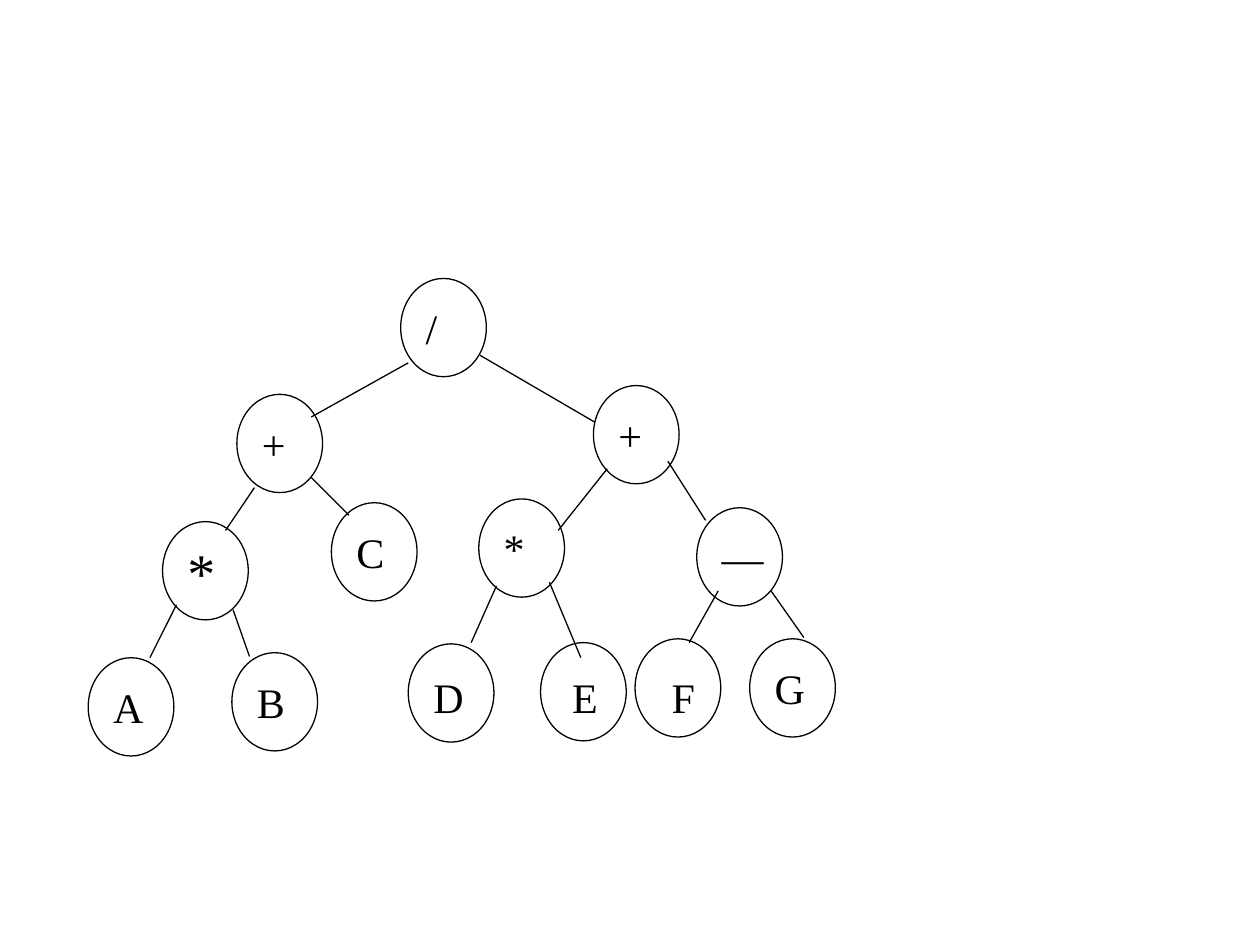
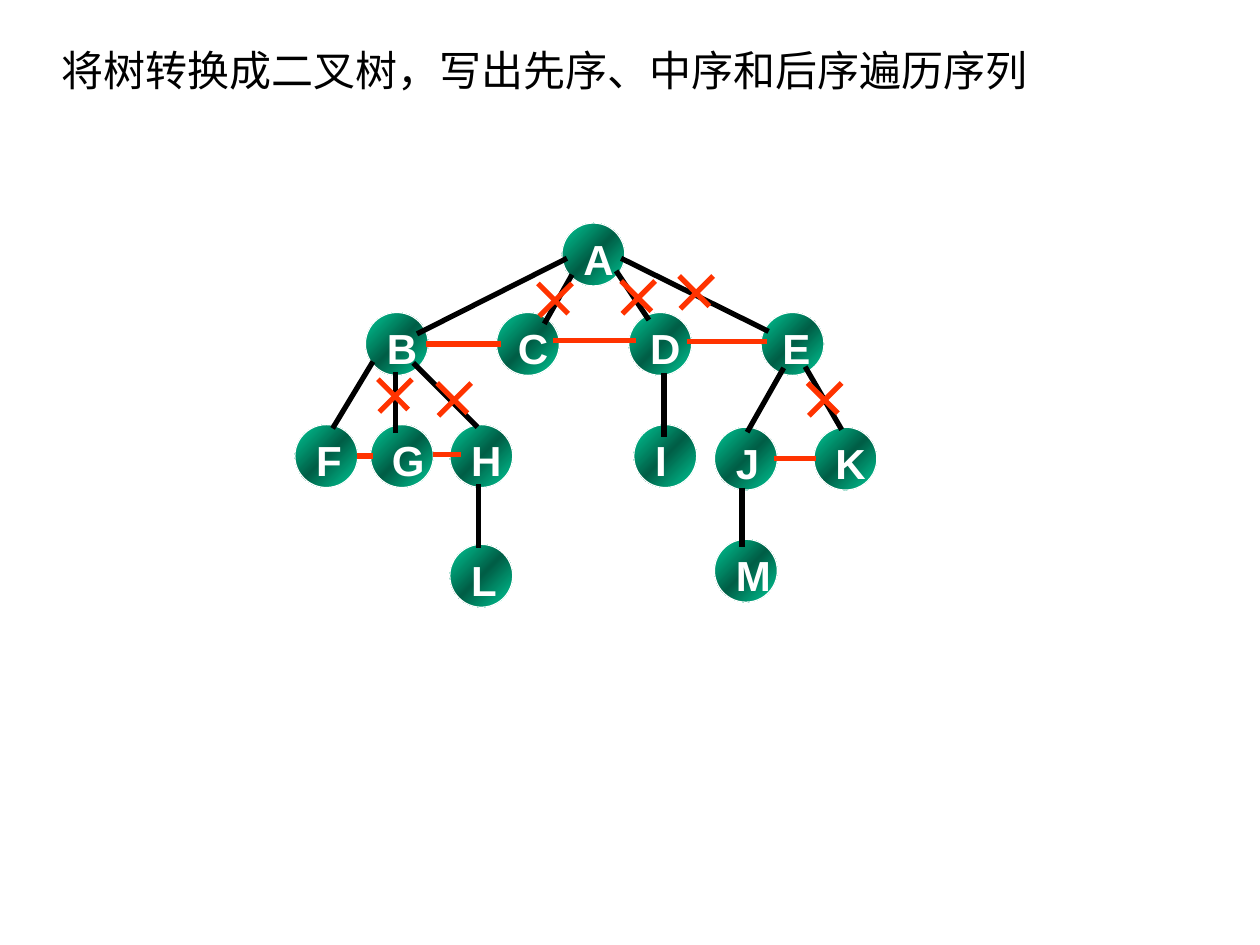
from copy import deepcopy

from pptx import Presentation
from pptx.dml.color import RGBColor
from pptx.enum.shapes import MSO_CONNECTOR, MSO_SHAPE
from pptx.enum.text import MSO_ANCHOR, MSO_AUTO_SIZE, PP_ALIGN
from pptx.oxml.ns import qn
from pptx.util import Inches, Pt

ELLIPSE, STRAIGHT = MSO_SHAPE.OVAL, MSO_CONNECTOR.STRAIGHT
TOP, MIDDLE = MSO_ANCHOR.TOP, MSO_ANCHOR.MIDDLE
LEFT, NO_FIT = PP_ALIGN.LEFT, MSO_AUTO_SIZE.NONE

SLIDE_W, SLIDE_H = Inches(10), Inches(7.5)
COLUMNS, ROWS = 10, 7.5
COLORS = {"ink": "000000", "paper": "FFFFFF", "link": "FF3300",
          "node": "00CC99", "node_dark": "005E46"}
SERIF, SANS = "Times New Roman", "Arial"
LABEL_INSETS = (0.09, 0.08)

OPERATOR_SIZE = (0.68, 0.78)
EXPRESSION_NODES = [
    ("", 4.29, 5.1), ("", 5.04, 5.07), ("", 3.24, 5.11), ("G", 5.95, 5.07),
    ("A", 0.7, 5.22), ("B", 1.84, 5.18), ("/", 3.18, 2.21), ("+", 1.88, 3.13),
    ("+", 4.71, 3.06), ("*", 3.8, 3.96), ("—", 5.53, 4.03), ("C", 2.63, 3.99),
]
LARGE_PRODUCT = ("*", 1.29, 4.14)
EXPRESSION_EDGES = [
    (3.24, 2.88, 2.47, 3.31), (3.81, 2.82, 4.72, 3.35), (2.02, 3.87, 1.79, 4.21),
    (2.47, 3.79, 2.77, 4.09), (4.82, 3.72, 4.43, 4.21), (5.3, 3.66, 5.6, 4.13),
    (1.4, 4.8, 1.19, 5.22), (1.85, 4.84, 1.98, 5.21), (3.94, 4.65, 3.74, 5.1),
    (4.36, 4.62, 4.61, 5.22), (5.7, 4.69, 5.47, 5.1), (6.12, 4.69, 6.38, 5.06),
]
LEAF_LABELS = [("D", 3.35), ("E", 4.45), ("F", 5.24)]

TREE_LEVELS = [
    (1.77, [("A", 4.46)]),
    (2.48, [("B", 2.9), ("C", 3.94), ("D", 4.99), ("E", 6.04)]),
    (3.37, [("F", 2.34), ("G", 2.94), ("H", 3.57), ("I", 5.03)]),
    (3.39, [("J", 5.67), ("K", 6.46)]),
    (4.32, [("L", 3.57)]),
    (4.28, [("M", 5.67)]),
]
TREE_EDGES = [
    (4.5, 2.05, 3.31, 2.65), (4.54, 2.18, 4.32, 2.57), (4.89, 2.15, 5.15, 2.54),
    (4.93, 2.05, 6.1, 2.63), (2.96, 2.87, 2.64, 3.4), (3.14, 2.95, 3.14, 3.44),
    (3.28, 2.88, 3.79, 3.39), (3.8, 3.84, 3.8, 4.35), (5.27, 2.96, 5.27, 3.47),
    (5.89, 3.87, 5.89, 4.34), (6.22, 2.92, 5.93, 3.43), (6.39, 2.91, 6.68, 3.41),
]
SIBLING_LINKS = [(3.38, 3.98, 2.73), (4.39, 5.05, 2.7), (5.45, 6.09, 2.71),
                 (2.83, 2.96, 3.62), (3.44, 3.66, 3.61), (6.14, 6.48, 3.64)]
CUT_MARKS = [(4.27, 2.25), (4.93, 2.23), (5.39, 2.19),
             (6.41, 3.04), (3.47, 3.04), (3.0, 3.01)]


def col(x):
    """Convert grid columns to a horizontal length."""
    return round(x * SLIDE_W / COLUMNS)


def row(y):
    """Convert grid rows to a vertical length."""
    return round(y * SLIDE_H / ROWS)


def color(key):
    """Look up a palette colour."""
    return RGBColor.from_string(COLORS[key])


def write(holder, text, font=SERIF, size=24, ink="ink", bold=False,
          anchor=MIDDLE, wrap=True, insets=(0.1, 0.05)):
    """Fill a holder with one left-aligned line of formatted text."""
    frame = holder.text_frame
    frame.auto_size, frame.word_wrap = NO_FIT, wrap
    frame.vertical_anchor = anchor
    frame.margin_left, frame.margin_top = col(insets[0]), row(insets[1])
    paragraph = frame.paragraphs[0]
    paragraph.alignment = LEFT
    run = paragraph.add_run()
    run.text = text
    run.font.name, run.font.size, run.font.bold = font, Pt(size), bold
    run.font.color.rgb = color(ink)


def add_circle(slide, x, y, width, height, outline):
    """Add an unfilled node with a thin outline."""
    node = slide.shapes.add_shape(ELLIPSE, col(x), row(y), col(width), row(height))
    node.shadow.inherit = False
    node.line.color.rgb, node.line.width = color(outline), Pt(0.75)
    return node


def add_label(slide, text, x, y, width, height, **style):
    """Add a free-standing node label."""
    label = slide.shapes.add_textbox(col(x), row(y), col(width), row(height))
    write(label, text, anchor=TOP, wrap=False, insets=LABEL_INSETS, **style)


def add_line(slide, x1, y1, x2, y2, ink="ink", weight=3):
    """Draw a straight line between two grid points."""
    line = slide.shapes.add_connector(STRAIGHT, col(x1), row(y1), col(x2), row(y2))
    line.line.color.rgb, line.line.width = color(ink), Pt(weight)
    properties = line._element.spPr
    properties.append(properties.makeelement(qn("a:effectLst"), {}))


def add_operator(slide, text, x, y, size=24):
    """Add a white node of the expression tree."""
    node = add_circle(slide, x, y, *OPERATOR_SIZE, "ink")
    node.fill.solid()
    node.fill.fore_color.rgb = color("paper")
    if text:
        write(node, text, size=size)


def add_tree_node(slide, text, x, y):
    """Add a green gradient node and its white letter."""
    node = add_circle(slide, x, y, 0.5, 0.5, "paper")
    node.fill.gradient()
    node.fill.gradient_angle = 315
    stop_list = node._element.spPr.find(".//" + qn("a:gsLst"))
    stop_list.insert(1, deepcopy(stop_list[0]))
    shades = [("node", 0), ("node_dark", 0.5), ("node", 1)]
    for stop, (shade, position) in zip(node.fill.gradient_stops, shades):
        stop.color.rgb, stop.position = color(shade), position
    add_label(slide, text, x + 0.08, y, 0.44, 0.5, font=SANS, ink="paper", bold=True)


def add_cut_mark(slide, x, y):
    """Cross out an edge that the conversion removes."""
    add_line(slide, x + 0.27, y, x + 0.01, y + 0.26, "link")
    add_line(slide, x, y, x + 0.24, y + 0.24, "link")


def build_expression_tree(deck):
    """Build the slide with the arithmetic expression tree."""
    slide = deck.slides.add_slide(deck.slide_layouts[6])
    for operator in EXPRESSION_NODES:
        add_operator(slide, *operator)
    add_operator(slide, *LARGE_PRODUCT, size=32)
    for edge in EXPRESSION_EDGES:
        add_line(slide, *edge, weight=0.75)
    for letter, x in LEAF_LABELS:
        add_label(slide, letter, x, 5.25, 0.38, 0.4)


def build_conversion(deck):
    """Build the slide that turns a tree into a binary tree."""
    slide = deck.slides.add_slide(deck.slide_layouts[5])
    title = slide.shapes.title
    title.left, title.top, title.width, title.height = col(0.39), row(0.3), col(7.94), row(0.5)
    write(title, "将树转换成二叉树，写出先序、中序和后序遍历序列", wrap=False)
    for y, level in TREE_LEVELS:
        for letter, x in level:
            add_tree_node(slide, letter, x, y)
    for edge in TREE_EDGES:
        add_line(slide, *edge)
    for start, end, y in SIBLING_LINKS:
        add_line(slide, start, y, end, y, "link")
    for mark in CUT_MARKS:
        add_cut_mark(slide, *mark)


def main():
    """Build and save the deck."""
    deck = Presentation()
    deck.slide_width, deck.slide_height = SLIDE_W, SLIDE_H
    build_expression_tree(deck)
    build_conversion(deck)
    deck.save("out.pptx")


if __name__ == "__main__":
    main()
